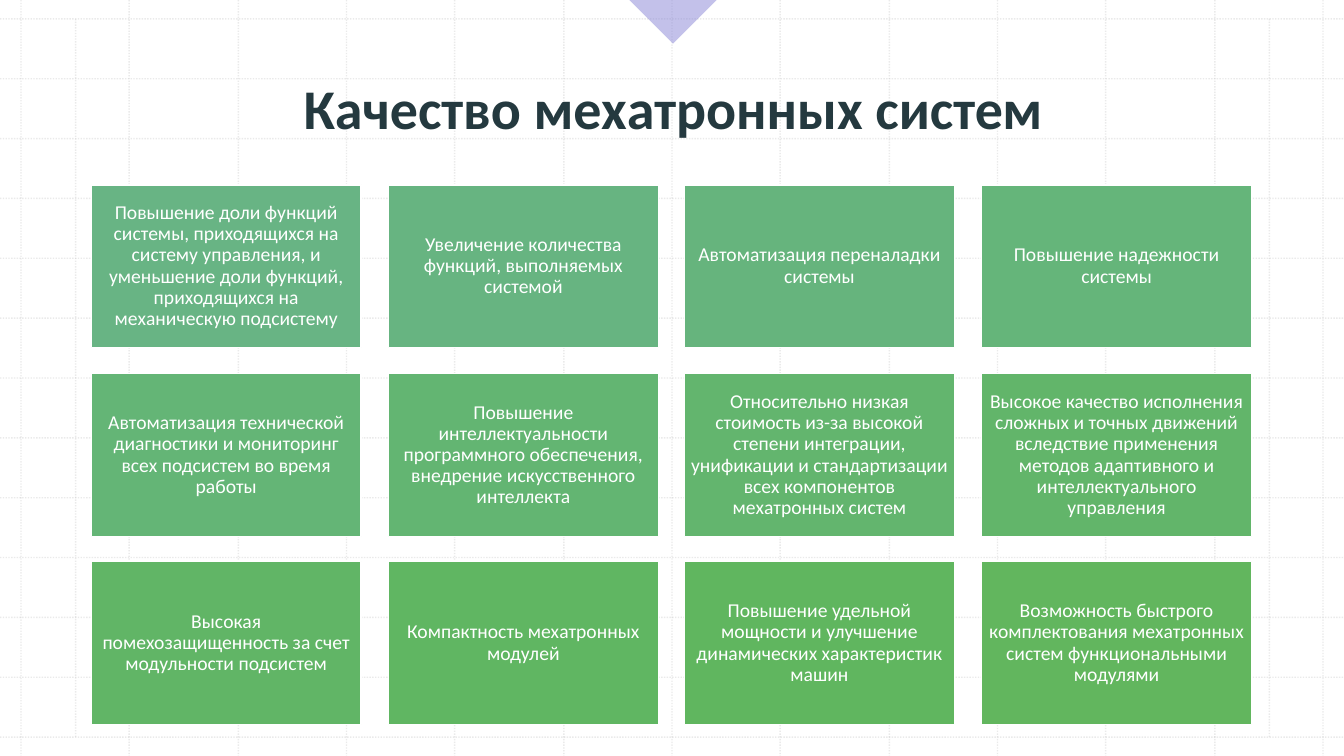
from dataclasses import dataclass
from itertools import product

from lxml import etree
from pptx import Presentation
from pptx.dml.color import RGBColor
from pptx.enum.dml import MSO_LINE
from pptx.enum.shapes import MSO_CONNECTOR, MSO_SHAPE
from pptx.enum.text import MSO_ANCHOR, PP_ALIGN
from pptx.oxml.ns import qn
from pptx.util import Pt

EMU_PER_PX = 9525
WIDTH, HEIGHT = 1280, 720


@dataclass(frozen=True)
class Theme:
    font: str = "Calibri"
    title_size: int = 40
    card_size: int = 14
    title: str = "24393F"
    white: str = "FFFFFF"
    grid: str = "BCBCBC"
    grid_opacity: int = 30
    accent: str = "8885D7"
    accent_opacity: int = 50


TITLE = "Качество мехатронных систем"
CARDS = [
    ("68B484", "Повышение доли функций системы, приходящихся на систему управления, "
               "и уменьшение доли функций, приходящихся на механическую подсистему"),
    ("67B481", "Увеличение количества функций, выполняемых системой"),
    ("66B47D", "Автоматизация переналадки системы"),
    ("65B57A", "Повышение надежности системы"),
    ("64B576", "Автоматизация технической диагностики и мониторинг "
               "всех подсистем во время работы"),
    ("63B572", "Повышение интеллектуальности программного обеспечения, "
               "внедрение искусственного интеллекта"),
    ("63B56E", "Относительно низкая стоимость из-за высокой степени интеграции, "
               "унификации и стандартизации всех компонентов мехатронных систем"),
    ("62B56A", "Высокое качество исполнения сложных и точных движений вследствие "
               "применения методов адаптивного и интеллектуального управления"),
    ("61B566", "Высокая помехозащищенность за счет модульности подсистем"),
    ("60B662", "Компактность мехатронных модулей"),
    ("60B65F", "Повышение удельной мощности и улучшение "
               "динамических характеристик машин"),
    ("62B65E", "Возможность быстрого комплектования мехатронных систем "
               "функциональными модулями"),
]


def px(*lengths):
    return [length * EMU_PER_PX for length in lengths]


def spread(first, last, count):
    """Evenly spaced whole positions from first to last."""
    return [round(first + (last - first) * i / (count - 1)) for i in range(count)]


def set_opacity(properties, percent):
    """Make the solid colour inside a shape's properties translucent."""
    color = next(properties.iter(qn("a:srgbClr")))
    etree.SubElement(color, qn("a:alpha")).set("val", str(percent * 1000))


class SlideBuilder:
    def __init__(self, slide, theme):
        self.shapes = slide.shapes
        self.theme = theme

    def grid_line(self, x1, y1, x2, y2):
        connector = self.shapes.add_connector(MSO_CONNECTOR.STRAIGHT, *px(x1, y1, x2, y2))
        line = connector.line
        line.width = Pt(1)
        line.color.rgb = RGBColor.from_string(self.theme.grid)
        line.dash_style = MSO_LINE.ROUND_DOT
        properties = connector.element.spPr
        set_opacity(properties, self.theme.grid_opacity)
        etree.SubElement(properties, qn("a:effectLst"))

    def shape(self, kind, left, top, width, height, fill):
        shape = self.shapes.add_shape(kind, *px(left, top, width, height))
        shape.shadow.inherit = False
        shape.fill.solid()
        shape.fill.fore_color.rgb = RGBColor.from_string(fill)
        return shape

    def pointer(self, left, top, size):
        """Translucent triangle pointing down from the top edge."""
        triangle = self.shape(MSO_SHAPE.RIGHT_TRIANGLE, left, top, size, size, self.theme.accent)
        triangle.rotation = 315
        triangle.line.fill.background()
        set_opacity(triangle.element.spPr, self.theme.accent_opacity)

    def add_text(self, box, text, size, color, anchor, space_after, bold=False):
        frame = box.text_frame
        frame.word_wrap = True
        frame.vertical_anchor = anchor
        para = frame.paragraphs[0]
        para.alignment = PP_ALIGN.CENTER
        para.space_after = Pt(space_after)
        span = para.add_run()
        span.text = text
        span.font.name = self.theme.font
        span.font.size = Pt(size)
        span.font.bold = bold
        span.font.color.rgb = RGBColor.from_string(color)
        return para

    def title(self, text, left, top, width, height):
        box = self.shapes.add_textbox(*px(left, top, width, height))
        self.add_text(box, text, self.theme.title_size, self.theme.title,
                      MSO_ANCHOR.BOTTOM, 6, bold=True)

    def card(self, text, fill, left, top, width, height):
        box = self.shape(MSO_SHAPE.RECTANGLE, left, top, width, height, fill)
        box.line.width = Pt(1)
        box.line.color.rgb = RGBColor.from_string(self.theme.white)
        frame = box.text_frame
        (frame.margin_left, frame.margin_top,
         frame.margin_right, frame.margin_bottom) = px(5, 5, 5, 5)
        para = self.add_text(box, text, self.theme.card_size, self.theme.white,
                             MSO_ANCHOR.MIDDLE, 5)
        para.line_spacing = 0.9


def main():
    deck = Presentation()
    deck.slide_width, deck.slide_height = px(WIDTH, HEIGHT)
    page = SlideBuilder(deck.slides.add_slide(deck.slide_layouts[6]), Theme())

    grid_top, grid_bottom = 18, 702
    for x in spread(20, 1260, 13):
        page.grid_line(x, 0, x, HEIGHT)
    for y in spread(grid_top, grid_bottom, 13):
        page.grid_line(0, y, WIDTH, y)
    for margin in (72, 1209):
        page.grid_line(margin, grid_top, margin, grid_bottom)

    page.pointer(611, -31, 60)
    page.title(TITLE, 74, 59, 1134, 80)

    places = product(spread(176, 535, 3), spread(87, 935, 4))
    for (fill, text), (top, left) in zip(CARDS, places):
        page.card(text, fill, left, top, 257, 155)

    deck.save("out.pptx")


if __name__ == "__main__":
    main()
